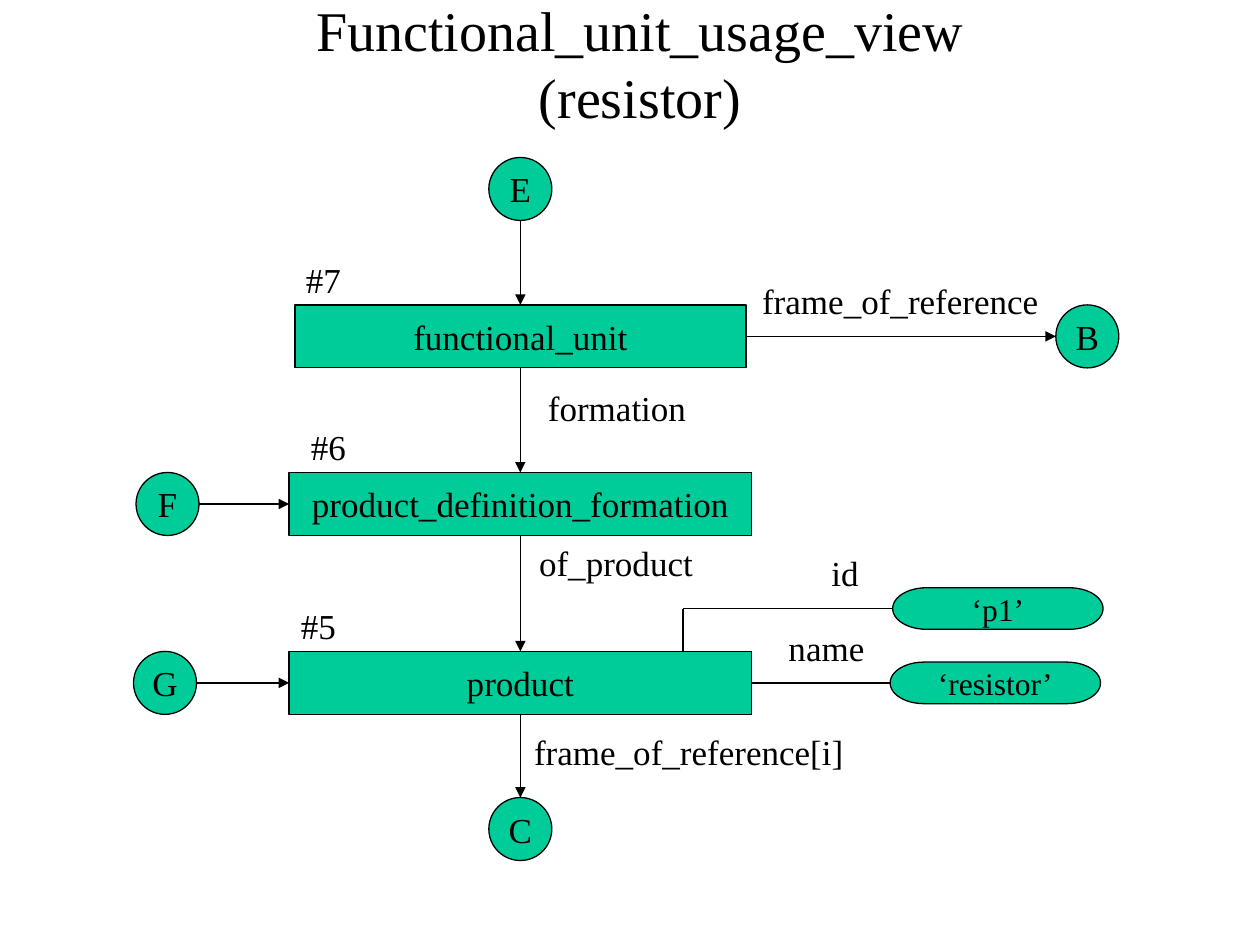
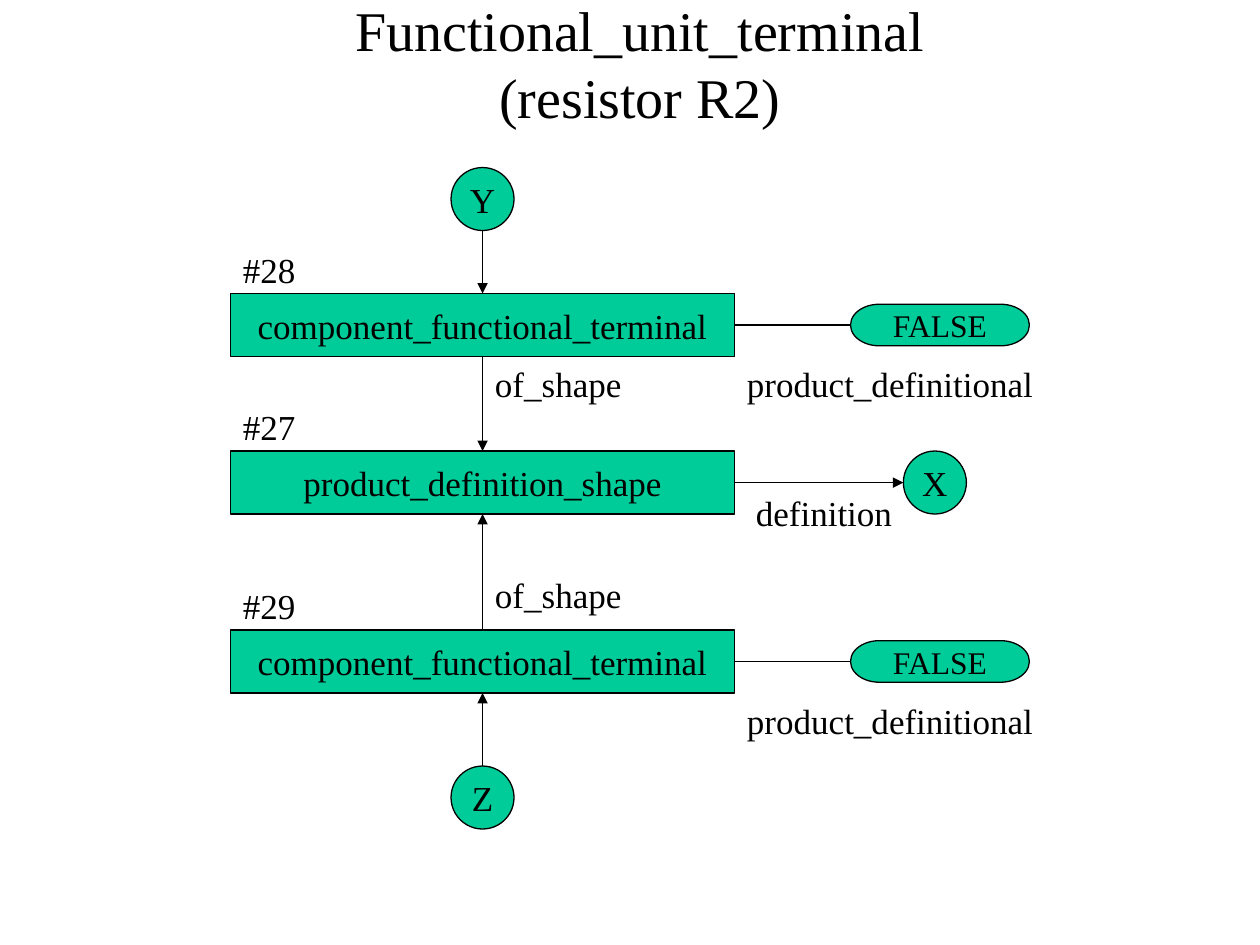
from lxml.etree import SubElement
from pptx import Presentation
from pptx.dml.color import RGBColor
from pptx.enum.shapes import MSO_CONNECTOR, MSO_SHAPE as SHAPE
from pptx.enum.text import MSO_ANCHOR as ANCHOR, MSO_AUTO_SIZE as AUTO_SIZE, PP_ALIGN as ALIGN
from pptx.oxml.ns import qn
from pptx.util import Inches, Pt

COLORS = {"node": "00CC99", "ink": "000000"}
FONT = "Times New Roman"
TITLE_SIZE, TEXT_SIZE, VALUE_SIZE = 32, 20, 18
LINE_WIDTH = Pt(0.75)
CIRCLE_SIZE = 0.5
TOP, LEFT, BOTTOM, RIGHT = range(4)


def color(name):
    return RGBColor.from_string(COLORS[name])


def add_run(paragraph, text, size):
    run = paragraph.add_run()
    run.text = text
    run.font.name = FONT
    run.font.size = Pt(size)
    run.font.color.rgb = color("ink")


def add_title(slide, *lines):
    shape = slide.shapes.add_textbox(Inches(0.83), Inches(0.16), Inches(8.5), Inches(0.67))
    frame = shape.text_frame
    frame.word_wrap = True
    frame.auto_size = AUTO_SIZE.NONE
    frame.vertical_anchor = ANCHOR.MIDDLE
    paragraph = frame.paragraphs[0]
    paragraph.alignment = ALIGN.CENTER
    for index, line in enumerate(lines):
        if index:
            paragraph.add_line_break()
        add_run(paragraph, line, TITLE_SIZE)


def add_label(slide, text, left, top, width):
    shape = slide.shapes.add_textbox(Inches(left), Inches(top), Inches(width), Inches(0.44))
    frame = shape.text_frame
    frame.word_wrap = False
    frame.auto_size = AUTO_SIZE.SHAPE_TO_FIT_TEXT
    add_run(frame.paragraphs[0], text, TEXT_SIZE)


def add_node(slide, kind, text, center_x, center_y, width, height, size=TEXT_SIZE):
    shape = slide.shapes.add_shape(
        kind, Inches(center_x - width / 2), Inches(center_y - height / 2),
        Inches(width), Inches(height))
    shape.shadow.inherit = False
    shape.fill.solid()
    shape.fill.fore_color.rgb = color("node")
    shape.line.color.rgb = color("ink")
    shape.line.width = LINE_WIDTH
    frame = shape.text_frame
    frame.word_wrap = False
    frame.vertical_anchor = ANCHOR.MIDDLE
    paragraph = frame.paragraphs[0]
    paragraph.alignment = ALIGN.CENTER
    add_run(paragraph, text, size)
    return shape


def add_entity(slide, text, center_x, center_y, width):
    return add_node(slide, SHAPE.RECTANGLE, text, center_x, center_y, width, 0.5)


def add_reference(slide, letter, center_x, center_y):
    """Circle that stands for a link to another diagram."""
    return add_node(slide, SHAPE.FLOWCHART_CONNECTOR, letter, center_x, center_y,
                    CIRCLE_SIZE, CIRCLE_SIZE)


def add_value(slide, text, center_x, center_y, width):
    return add_node(slide, SHAPE.FLOWCHART_TERMINATOR, text, center_x, center_y,
                    width, 0.33, VALUE_SIZE)


def side_point(shape, side):
    """Middle of one side of a shape, as (x, y)."""
    x = {LEFT: shape.left, RIGHT: shape.left + shape.width}
    y = {TOP: shape.top, BOTTOM: shape.top + shape.height}
    return (x.get(side, shape.left + shape.width // 2),
            y.get(side, shape.top + shape.height // 2))


def add_line(slide, start, end, arrow=False):
    line = slide.shapes.add_connector(MSO_CONNECTOR.STRAIGHT, *start, *end)
    line.line.color.rgb = color("ink")
    line.line.width = LINE_WIDTH
    if arrow:
        SubElement(line.line._get_or_add_ln(), qn("a:tailEnd"), type="triangle")
    SubElement(line._element.spPr, qn("a:effectLst"))
    return line


def has_four_sites(shape):
    """Circles number their connection sites differently, so they are not joined."""
    return shape.auto_shape_type != SHAPE.FLOWCHART_CONNECTOR


def connect(slide, source, source_side, target, target_side, arrow=True):
    line = add_line(slide, side_point(source, source_side),
                    side_point(target, target_side), arrow)
    if has_four_sites(source):
        line.begin_connect(source, source_side)
    if has_four_sites(target):
        line.end_connect(target, target_side)


def build_usage_view(slide):
    add_title(slide, "Functional_unit_usage_view", "(resistor)")
    axis = 4.13
    unit_y, formation_y, product_y = 2.67, 4, 5.42

    unit = add_entity(slide, "functional_unit", axis, unit_y, 3.58)
    formation = add_entity(slide, "product_definition_formation", axis, formation_y, 3.67)
    product = add_entity(slide, "product", axis, product_y, 3.67)
    e = add_reference(slide, "E", axis, 1.5)
    c = add_reference(slide, "C", axis, 6.58)
    b = add_reference(slide, "B", 8.63, unit_y)
    f = add_reference(slide, "F", 1.33, formation_y)
    g = add_reference(slide, "G", 1.31, product_y)
    part_id = add_value(slide, "‘p1’", 7.92, 4.83, 1.67)
    part_name = add_value(slide, "‘resistor’", 7.9, product_y, 1.67)

    chain = [e, unit, formation, product, c]
    for upper, lower in zip(chain, chain[1:]):
        connect(slide, upper, BOTTOM, lower, TOP)
    for source, target in [(unit, b), (f, formation), (g, product)]:
        connect(slide, source, RIGHT, target, LEFT)
    connect(slide, product, RIGHT, part_name, LEFT, arrow=False)

    id_end = side_point(part_id, LEFT)
    corner = (Inches(5.42), id_end[1])
    add_line(slide, (corner[0], product.top), corner)
    add_line(slide, corner, id_end).end_connect(part_id, LEFT)

    for text, left, top, width in [
        ("#7", 2.33, 2, 0.5),
        ("#6", 2.37, 3.33, 0.5),
        ("#5", 2.29, 4.75, 0.5),
        ("formation", 4.25, 3.02, 1.33),
        ("of_product", 4.18, 4.25, 1.45),
        ("frame_of_reference[i]", 4.14, 5.75, 2.7),
        ("frame_of_reference", 5.95, 2.17, 2.43),
        ("id", 6.5, 4.33, 0.44),
        ("name", 6.16, 4.92, 0.83),
    ]:
        add_label(slide, text, left, top, width)


def build_terminal(slide):
    add_title(slide, "Functional_unit_terminal", "(resistor R2)")
    axis, entity_width = 3.83, 4
    upper_y, shape_y, lower_y = 2.58, 3.83, 5.25

    upper = add_entity(slide, "component_functional_terminal", axis, upper_y, entity_width)
    shape = add_entity(slide, "product_definition_shape", axis, shape_y, entity_width)
    lower = add_entity(slide, "component_functional_terminal", axis, lower_y, entity_width)
    y = add_reference(slide, "Y", axis, 1.58)
    z = add_reference(slide, "Z", axis, 6.33)
    x = add_reference(slide, "X", 7.42, shape_y)

    for source, target in [(y, upper), (upper, shape)]:
        connect(slide, source, BOTTOM, target, TOP)
    for source, target in [(z, lower), (lower, shape)]:
        connect(slide, source, TOP, target, BOTTOM)
    connect(slide, shape, RIGHT, x, LEFT)

    for terminal, center_y in [(upper, upper_y), (lower, lower_y)]:
        value = add_value(slide, "FALSE", 7.46, center_y, 1.42)
        connect(slide, terminal, RIGHT, value, LEFT, arrow=False)
        add_label(slide, "product_definitional", 5.83, center_y + 0.25, 2.5)

    for tag, center_y in [("#28", upper_y), ("#27", shape_y), ("#29", lower_y)]:
        add_label(slide, tag, 1.83, center_y - 0.66, 0.65)
    for top in (2.83, 4.5):
        add_label(slide, "of_shape", axis, top, 1.24)
    add_label(slide, "definition", 5.9, 3.85, 1.31)


def main():
    presentation = Presentation()
    presentation.slide_width = Inches(10)
    presentation.slide_height = Inches(7.5)
    blank = presentation.slide_layouts[6]
    for build in (build_usage_view, build_terminal):
        build(presentation.slides.add_slide(blank))
    presentation.save("out.pptx")


if __name__ == "__main__":
    main()
